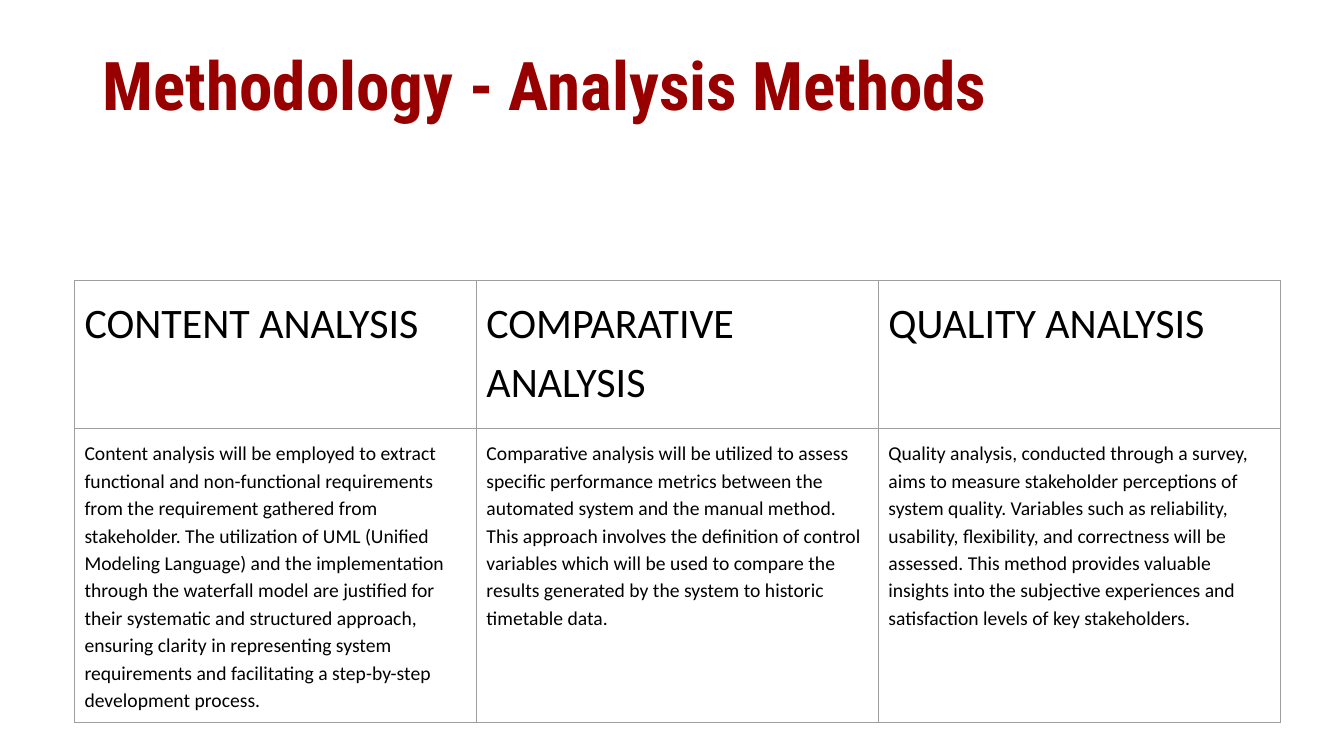
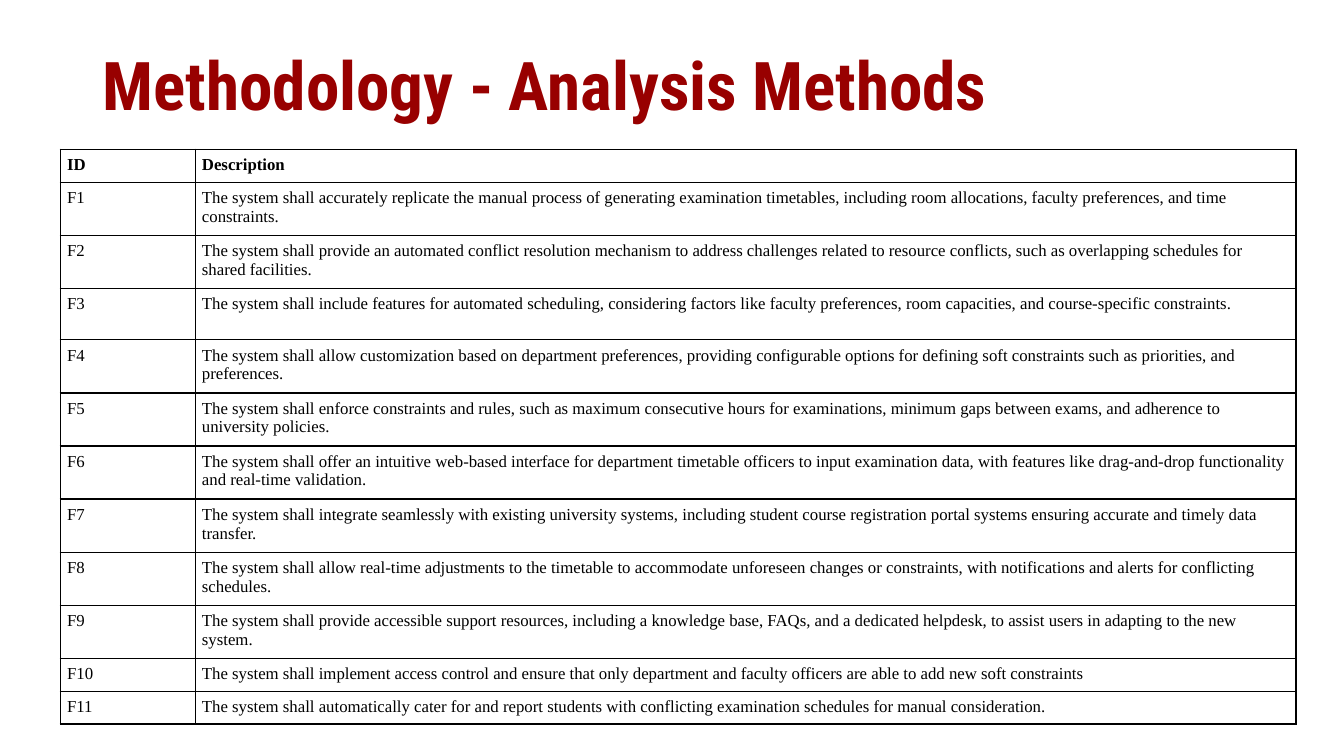
from lxml import etree
from pptx import Presentation
from pptx.dml.color import RGBColor
from pptx.enum.text import MSO_ANCHOR
from pptx.oxml.ns import qn
from pptx.util import Cm, Pt

TOP = MSO_ANCHOR.TOP
COLORS = {"title": "980000", "text": "000000", "grey": "9E9E9E", "black": "000000"}
TITLE = "Methodology - Analysis Methods"
BLANK = 6

METHODS = [
    ("CONTENT ANALYSIS", "COMPARATIVE ANALYSIS", "QUALITY ANALYSIS"),
    (
        "Content analysis will be employed to extract functional and non-functional "
        "requirements from the requirement gathered from stakeholder. The utilization of "
        "UML (Unified Modeling Language) and the implementation through the waterfall "
        "model are justified for their systematic and structured approach, ensuring "
        "clarity in representing system requirements and facilitating a step-by-step "
        "development process.",
        "Comparative analysis will be utilized to assess specific performance metrics "
        "between the automated system and the manual method. This approach involves the "
        "definition of control variables which will be used to compare the results "
        "generated by the system to historic timetable data.",
        "Quality analysis, conducted through a survey, aims to measure stakeholder "
        "perceptions of system quality. Variables such as reliability, usability, "
        "flexibility, and correctness will be assessed. This method provides valuable "
        "insights into the subjective experiences and satisfaction levels of key "
        "stakeholders.",
    ),
]

NEEDS = [
    "accurately replicate the manual process of generating examination timetables, "
    "including room allocations, faculty preferences, and time constraints.",
    "provide an automated conflict resolution mechanism to address challenges related to "
    "resource conflicts, such as overlapping schedules for shared facilities.",
    "include features for automated scheduling, considering factors like faculty "
    "preferences, room capacities, and course-specific constraints.",
    "allow customization based on department preferences, providing configurable options "
    "for defining soft constraints such as priorities, and preferences.",
    "enforce constraints and rules, such as maximum consecutive hours for examinations, "
    "minimum gaps between exams, and adherence to university policies.",
    "offer an intuitive web-based interface for department timetable officers to input "
    "examination data, with features like drag-and-drop functionality and real-time "
    "validation.",
    "integrate seamlessly with existing university systems, including student course "
    "registration portal systems ensuring accurate and timely data transfer.",
    "allow real-time adjustments to the timetable to accommodate unforeseen changes or "
    "constraints, with notifications and alerts for conflicting schedules.",
    "provide accessible support resources, including a knowledge base, FAQs, and a "
    "dedicated helpdesk, to assist users in adapting to the new system.",
    "implement access control and ensure that only department and faculty officers are "
    "able to add new soft constraints",
    "automatically cater for and report students with conflicting examination schedules "
    "for manual consideration.",
]
LONG = 140  # characters beyond which a description takes a two-line row


def style(para, font, size, color, bold=False, spacing=1.0):
    para.line_spacing = spacing
    for run in para.runs:
        run.font.name = font
        run.font.size = Pt(size)
        run.font.bold = bold
        run.font.color.rgb = RGBColor.from_string(COLORS[color])


def add_page(deck):
    """Add a blank slide with the shared title."""
    slide = deck.slides.add_slide(deck.slide_layouts[BLANK])
    frame = slide.shapes.add_textbox(Cm(2.34), Cm(1.2), Cm(29.2), Cm(2.1)).text_frame
    frame.word_wrap = True
    frame.vertical_anchor = TOP
    frame.text = TITLE
    style(frame.paragraphs[0], "Roboto Condensed", 48, "title", True, 0.9)
    return slide


def set_edges(cell, color, width):
    """Draw all four borders; they must come before the fill in the cell."""
    props = cell._tc.get_or_add_tcPr()
    for place, side in enumerate("LRTB"):
        line = etree.Element(qn(f"a:ln{side}"), w=str(Pt(width)))
        fill = etree.SubElement(line, qn("a:solidFill"))
        etree.SubElement(fill, qn("a:srgbClr"), val=COLORS[color])
        props.insert(place, line)


def add_grid(slide, rows, left, top, widths, heights, pad, edge):
    """Add a plain bordered table; pad is (across, down), edge is (color, width)."""
    table = slide.shapes.add_table(
        len(rows), len(widths), Cm(left), Cm(top), Cm(sum(widths)), Cm(sum(heights))
    ).table
    table.first_row = table.horz_banding = False
    for col, width in zip(table.columns, widths):
        col.width = Cm(width)
    for row, height, texts in zip(table.rows, heights, rows):
        row.height = Cm(height)
        for cell, text in zip(row.cells, texts):
            cell.text_frame.text = text
            cell.vertical_anchor = TOP
            cell.margin_left = cell.margin_right = Cm(pad[0])
            cell.margin_top = cell.margin_bottom = Cm(pad[1])
            cell.fill.background()
            set_edges(cell, *edge)
    return table


def style_row(row, *args, **options):
    for cell in row.cells:
        style(cell.text_frame.paragraphs[0], *args, **options)


def add_methods(deck):
    table = add_grid(add_page(deck), METHODS, 1.88, 7.07, [10.13] * 3, [3.73, 7.41],
                     (0.25, 0.25), ("grey", 0.75))
    for row, size in zip(table.rows, (30, 14)):
        style_row(row, "Calibri", size, "text", spacing=1.15)


def add_needs(deck):
    rows = [("ID", "Description")]
    rows += [(f"F{n}", f"The system shall {need}") for n, need in enumerate(NEEDS, 1)]
    heights = [1.3 if len(text) > LONG else 0.83 for _, text in rows]
    table = add_grid(add_page(deck), rows, 1.52, 3.76, [3.4, 27.74], heights,
                     (0.17, 0.16), ("black", 1))
    for n, row in enumerate(table.rows):
        style_row(row, "Times New Roman", 12, "text", bold=n == 0)


def main():
    deck = Presentation()
    deck.slide_width, deck.slide_height = Cm(33.87), Cm(19.05)
    add_methods(deck)
    add_needs(deck)
    deck.save("out.pptx")


if __name__ == "__main__":
    main()
